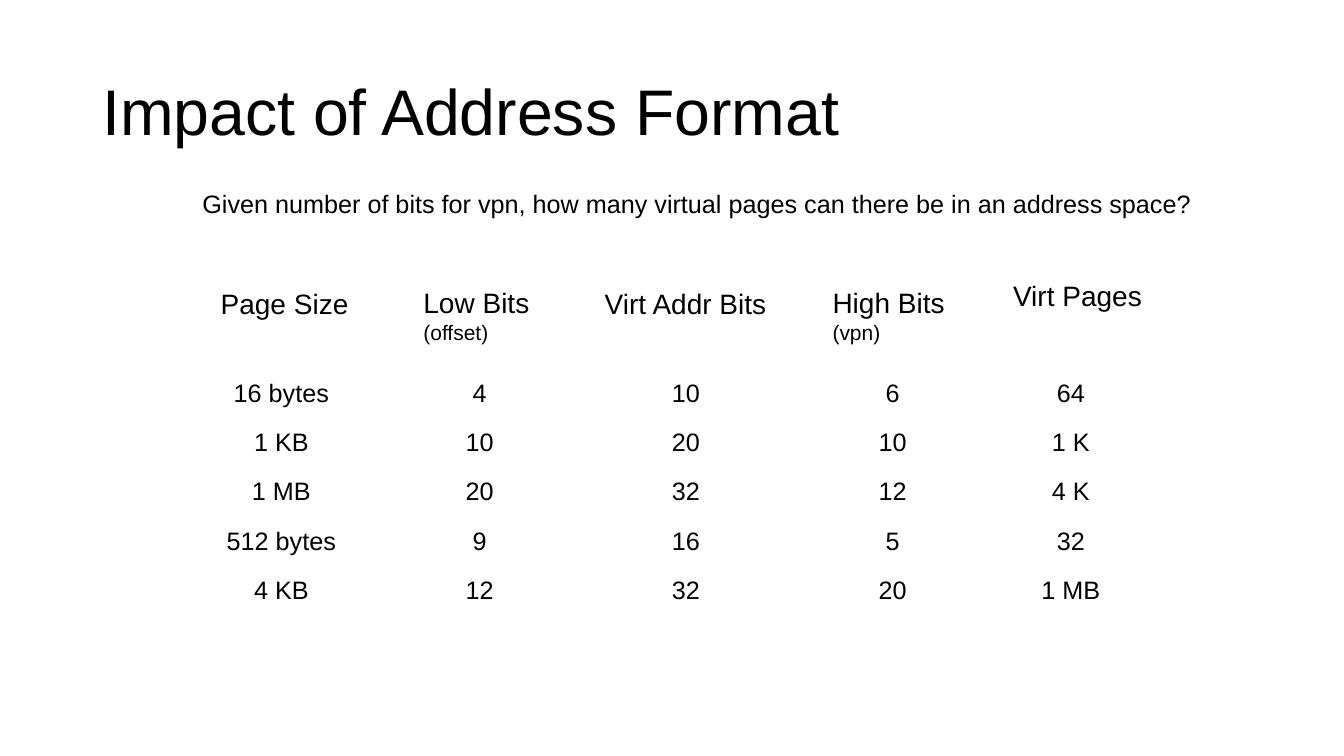
"""Builds the slide on how the address format sets the number of virtual pages."""
from dataclasses import dataclass

from lxml import etree
from pptx import Presentation
from pptx.dml import color
from pptx.enum import shapes, text
from pptx.oxml import ns
from pptx.util import Cm, Pt


@dataclass(frozen=True)
class Theme:
    font: str = "Arial"
    ink: color.RGBColor = color.RGBColor(0, 0, 0)
    rule: color.RGBColor = color.RGBColor(255, 255, 255)
    rule_width: float = 2
    title: float = 46
    header: float = 20
    body: float = 18
    note: float = 15


@dataclass(frozen=True)
class Column:
    heading: str
    note: str
    width: float
    indent: float
    drop: float
    values: tuple[str, ...]


@dataclass(frozen=True)
class Caption:
    wording: str
    left: float
    top: float
    width: float
    height: float
    size: float
    anchor: text.MSO_ANCHOR
    spacing: float
    wrap: bool


@dataclass(frozen=True)
class Rule:
    start_x: float
    start_y: float
    end_x: float
    end_y: float


THEME = Theme()

CAPTIONS = (
    Caption("Impact of Address Format", 2.33, 1.04, 29.21, 3.68,
            THEME.title, text.MSO_ANCHOR.MIDDLE, 0.9, True),
    Caption("Given number of bits for vpn, how many virtual pages "
            "can there be in an address space?", 4.85, 4.62, 25.65, 1.02,
            THEME.body, text.MSO_ANCHOR.TOP, 1.0, False),
)

RULES = (
    Rule(4.85, 9.07, 29.64, 9.07),
    Rule(14.73, 16.81, 14.73, 6.91),
    Rule(24.92, 16.81, 24.92, 6.91),
)

COLUMNS = (
    Column("Page Size", "", 5.04, 0.99, 0.34,
           ("16 bytes", "1 KB", "1 MB", "512 bytes", "4 KB")),
    Column("Low Bits", "(offset)", 4.95, 1.06, 0.32, ("4", "10", "20", "9", "12")),
    Column("Virt Addr Bits", "", 5.45, 0.68, 0.34, ("10", "20", "32", "16", "32")),
    Column("High Bits", "(vpn)", 4.97, 0.97, 0.32, ("6", "10", "12", "5", "20")),
    Column("Virt Pages", "", 4.01, 0.55, 0.14, ("64", "1 K", "4 K", "32", "1 MB")),
)

TABLE_LEFT, TABLE_TOP = 4.57, 6.95
HEADER_HEIGHT, ROW_HEIGHT = 2.35, 1.24


def style(paragraph, size: float) -> None:
    """Give every run of a paragraph the theme's font and ink."""
    for run in paragraph.runs:
        run.font.name = THEME.font
        run.font.size = Pt(size)
        run.font.color.rgb = THEME.ink


def draw_caption(slide, caption: Caption) -> None:
    """Draw a single line of free text."""
    frame = slide.shapes.add_textbox(
        Cm(caption.left), Cm(caption.top), Cm(caption.width), Cm(caption.height)
    ).text_frame
    frame.word_wrap = caption.wrap
    frame.vertical_anchor = caption.anchor
    frame.text = caption.wording
    frame.paragraphs[0].line_spacing = caption.spacing
    style(frame.paragraphs[0], caption.size)


def draw_rule(slide, rule: Rule) -> None:
    """Draw a straight divider without a shadow."""
    divider = slide.shapes.add_connector(
        shapes.MSO_CONNECTOR.STRAIGHT, Cm(rule.start_x), Cm(rule.start_y),
        Cm(rule.end_x), Cm(rule.end_y),
    )
    divider.line.color.rgb = THEME.rule
    divider.line.width = Pt(THEME.rule_width)
    etree.SubElement(divider.element.spPr, ns.qn("a:effectLst"))


def set_margins(cell, left: float, top: float) -> None:
    """Clear a cell's fill and set its insets."""
    cell.fill.background()
    cell.margin_left, cell.margin_top = Cm(left), Cm(top)
    cell.margin_right = cell.margin_bottom = 0


def fill_header(cell, column: Column) -> None:
    """Write a heading with its optional smaller note."""
    set_margins(cell, column.indent, column.drop)
    cell.vertical_anchor = text.MSO_ANCHOR.TOP
    cell.text_frame.text = column.heading
    style(cell.text_frame.paragraphs[0], THEME.header)
    if column.note:
        note = cell.text_frame.add_paragraph()
        note.text = column.note
        note.space_before = Pt(1.5)
        style(note, THEME.note)


def fill_value(cell, value: str) -> None:
    """Write one centred value."""
    set_margins(cell, 0, 0)
    cell.vertical_anchor = text.MSO_ANCHOR.MIDDLE
    cell.text_frame.text = value
    paragraph = cell.text_frame.paragraphs[0]
    paragraph.alignment = text.PP_ALIGN.CENTER
    style(paragraph, THEME.body)


def draw_formats(slide) -> None:
    """Draw the table of address formats."""
    count = len(COLUMNS[0].values)
    formats = slide.shapes.add_table(
        count + 1, len(COLUMNS), Cm(TABLE_LEFT), Cm(TABLE_TOP),
        Cm(sum(column.width for column in COLUMNS)),
        Cm(HEADER_HEIGHT + count * ROW_HEIGHT),
    ).table
    formats.first_row = formats.horz_banding = False
    for index, row in enumerate(formats.rows):
        row.height = Cm(ROW_HEIGHT if index else HEADER_HEIGHT)
    for across, column in enumerate(COLUMNS):
        formats.columns[across].width = Cm(column.width)
        fill_header(formats.cell(0, across), column)
        for down, value in enumerate(column.values, start=1):
            fill_value(formats.cell(down, across), value)


def main() -> None:
    """Build and save the slide."""
    deck = Presentation()
    deck.slide_width, deck.slide_height = Cm(33.87), Cm(19.05)
    slide = deck.slides.add_slide(deck.slide_layouts[6])
    for caption in CAPTIONS:
        draw_caption(slide, caption)
    for rule in RULES:
        draw_rule(slide, rule)
    draw_formats(slide)
    deck.save("out.pptx")


if __name__ == "__main__":
    main()
